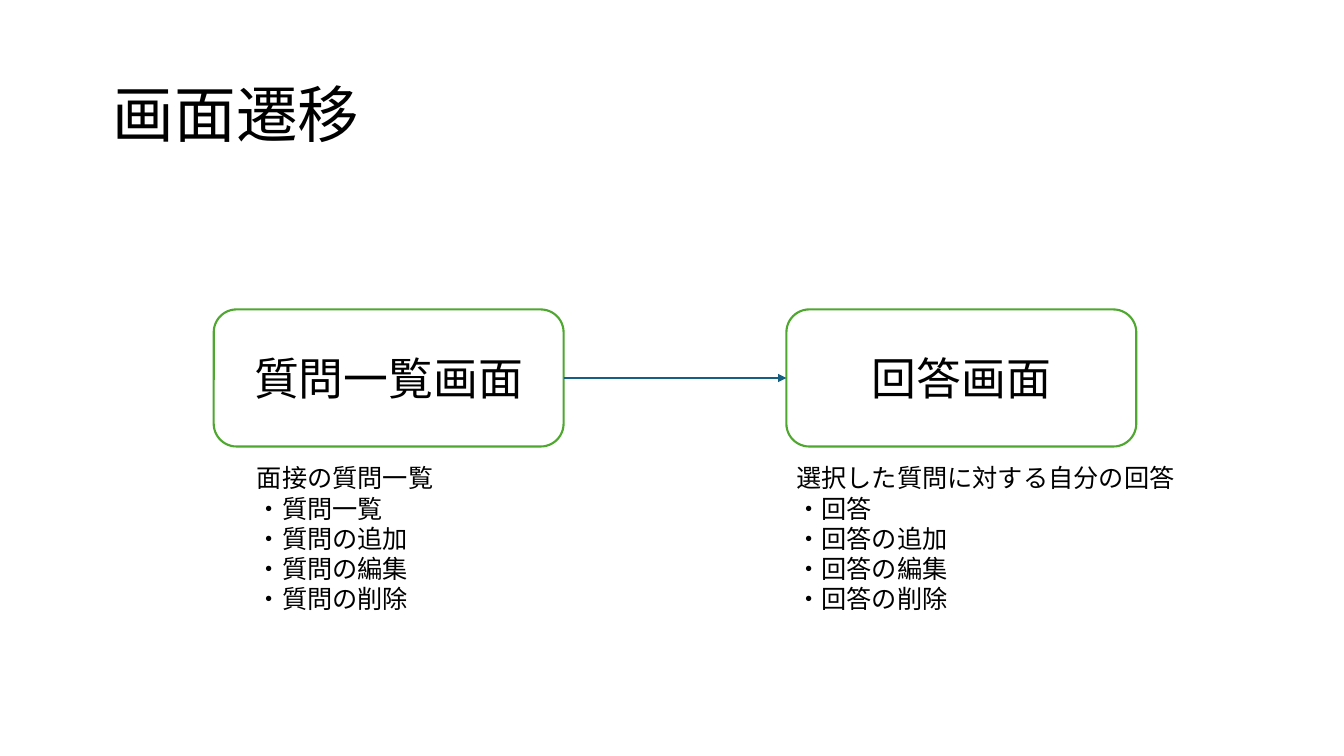
from lxml import etree
from pptx import Presentation
from pptx.dml.color import RGBColor
from pptx.enum.shapes import MSO_CONNECTOR as Connector, MSO_SHAPE as Shape
from pptx.enum.text import MSO_ANCHOR as Anchor, MSO_AUTO_SIZE as AutoSize, PP_ALIGN as Align
from pptx.oxml.ns import qn
from pptx.util import Inches, Pt

JAPANESE = "Noto Sans CJK JP"
HEADING = {"name": "Arial", "size": Pt(44)}
SCREEN_NAME = {"name": JAPANESE, "size": Pt(32)}
DETAIL = {"name": JAPANESE, "size": Pt(18)}

CARD_TOP, CARD_WIDTH, CARD_HEIGHT = 3.07, 3.47, 1.36
DETAIL_GAP, DETAIL_HEIGHT = 0.11, 1.62

# Card left, screen name, detail left, detail width, detail lines
SCREENS = [
    (2.12, "質問一覧画面", 2.45, 2.82,
     ["面接の質問一覧", "・質問一覧", "・質問の追加", "・質問の編集", "・質問の削除"]),
    (7.8, "回答画面", 7.8, 6.67,
     ["選択した質問に対する自分の回答", "・回答", "・回答の追加", "・回答の編集", "・回答の削除"]),
]


def color(value):
    return RGBColor.from_string(value)


def write(frame, lines, style, align=Align.LEFT, anchor=Anchor.TOP):
    frame.word_wrap = True
    frame.vertical_anchor = anchor
    frame.text = "\n".join(lines)
    for paragraph in frame.paragraphs:
        paragraph.alignment = align
        for run in paragraph.runs:
            for key, value in style.items():
                setattr(run.font, key, value)
            run.font.color.rgb = color("000000")
            east_asian = etree.SubElement(run.font._element, qn("a:ea"))
            east_asian.set("typeface", JAPANESE)


def add_heading(slide, left, top, width, height):
    heading = slide.shapes.title
    box = {"left": left, "top": top, "width": width, "height": height}
    for key, value in box.items():
        setattr(heading, key, Inches(value))
    write(heading.text_frame, ["画面遷移"], HEADING, anchor=Anchor.MIDDLE)
    heading.text_frame.auto_size = AutoSize.NONE


def add_card(slide, name, left, top, width, height):
    card = slide.shapes.add_shape(Shape.ROUNDED_RECTANGLE, *map(Inches, (left, top, width, height)))
    card.shadow.inherit = False
    card.fill.solid()
    card.fill.fore_color.rgb = color("FFFFFF")
    card.line.color.rgb = color("4EA72E")
    card.line.width = Pt(1.5)
    write(card.text_frame, [name], SCREEN_NAME, Align.CENTER, Anchor.MIDDLE)
    return card


def add_details(slide, lines, left, top, width, height):
    details = slide.shapes.add_textbox(*map(Inches, (left, top, width, height)))
    write(details.text_frame, lines, DETAIL)


def add_transition(slide, source, target):
    arrow = slide.shapes.add_connector(Connector.STRAIGHT, 0, 0, 0, 0)
    # Right side of the source to the left side of the target
    arrow.begin_connect(source, 3)
    arrow.end_connect(target, 1)
    arrow.line.color.rgb = color("156082")
    arrow.line.width = Pt(1.5)
    etree.SubElement(arrow.line._get_or_add_ln(), qn("a:tailEnd")).set("type", "triangle")
    etree.SubElement(arrow._element.spPr, qn("a:effectLst"))


def main():
    deck = Presentation()
    deck.slide_width, deck.slide_height = Inches(13.33), Inches(7.5)
    slide = deck.slides.add_slide(deck.slide_layouts[5])

    add_heading(slide, 1.02, 0.7, 3.99, 0.84)

    # Screens with their details below
    cards = []
    for left, name, detail_left, detail_width, lines in SCREENS:
        cards.append(add_card(slide, name, left, CARD_TOP, CARD_WIDTH, CARD_HEIGHT))
        add_details(slide, lines, detail_left, CARD_TOP + CARD_HEIGHT + DETAIL_GAP,
                    detail_width, DETAIL_HEIGHT)

    add_transition(slide, *cards)
    deck.save("out.pptx")


if __name__ == "__main__":
    main()
